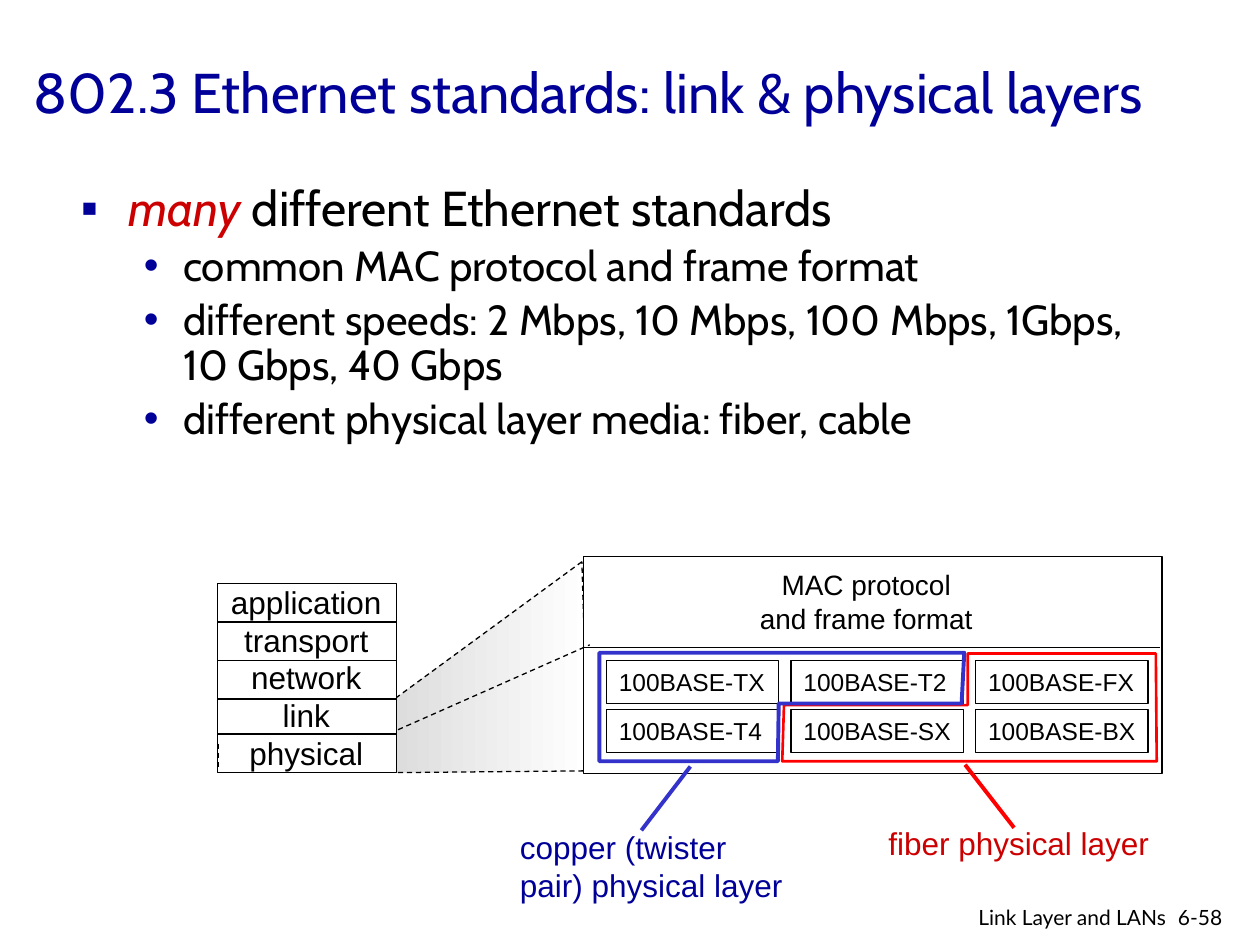
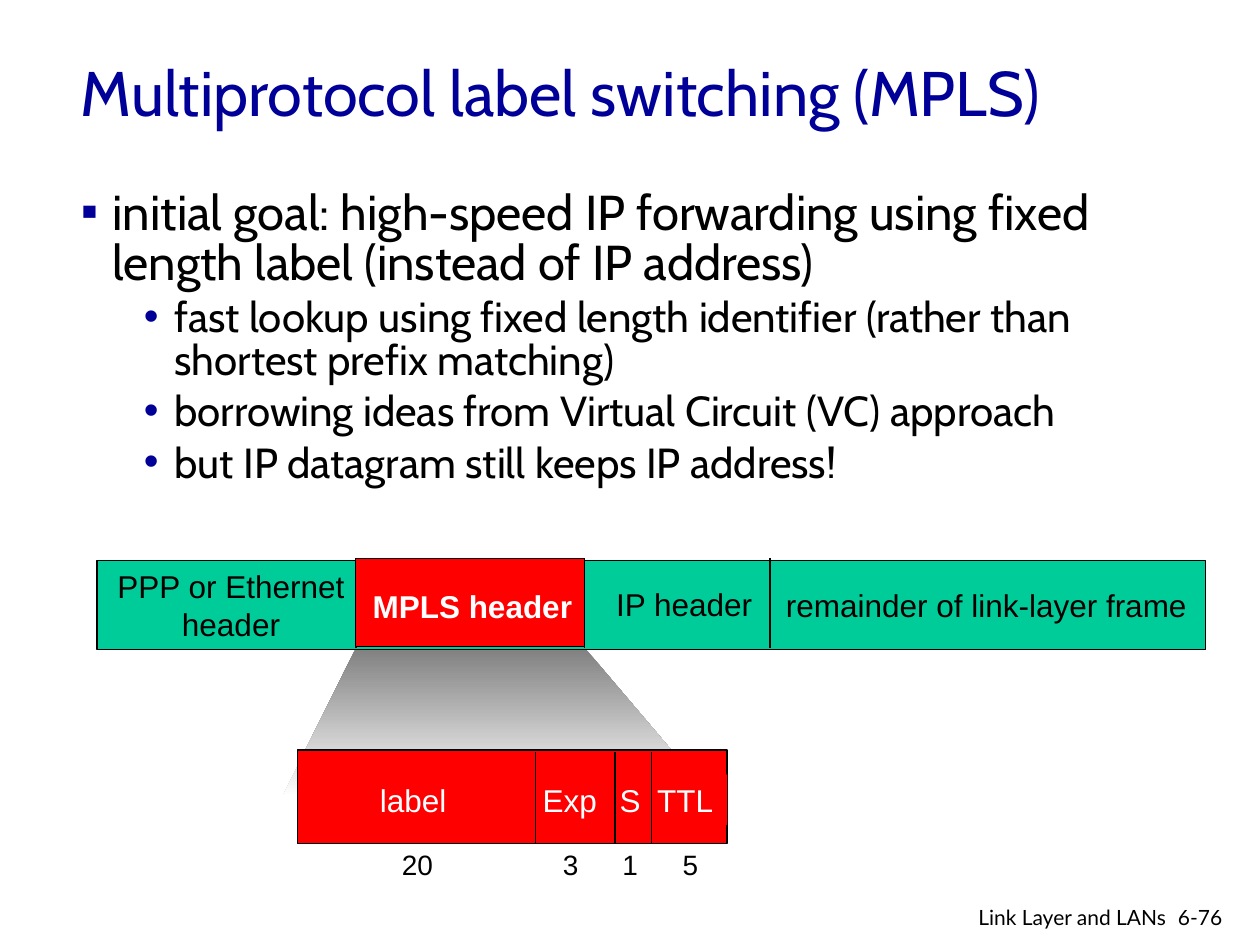
from lxml.etree import SubElement
from pptx import Presentation
from pptx.dml.color import RGBColor
from pptx.enum.dml import MSO_LINE
from pptx.enum.shapes import MSO_CONNECTOR as Connector, MSO_SHAPE as Preset
from pptx.enum.text import MSO_ANCHOR as Anchor, MSO_AUTO_SIZE as AutoSize, PP_ALIGN as Align
from pptx.oxml.ns import qn
from pptx.util import Pt

COLORS = {
    "navy": "000099", "black": "000000", "white": "FFFFFF", "crimson": "CC0000",
    "red": "FF0000", "blue": "3333CC", "green": "00CC99",
    "light_gray": "DDDDDD", "mid_gray": "808080",
}
HEADING = "Cabin"
DIAGRAM = "Arial"
FOOTER = "Lato"
BULLETS = ("▪", "•")
BULLET_SIZES = (28, 24)
FIXED_FRAME = {"word_wrap": True, "auto_size": AutoSize.NONE}
LABEL_FRAME = {"word_wrap": False, "auto_size": AutoSize.NONE}


def rgb(color):
    return RGBColor.from_string(COLORS[color])


def assign(target, formats):
    for name, value in formats.items():
        setattr(target, name, value)


def add_run(paragraph, words, size, color="black", face=DIAGRAM, **extra):
    run = paragraph.add_run()
    run.text = words
    assign(run.font, {"size": Pt(size), "name": face, **extra})
    run.font.color.rgb = rgb(color)


def write_lines(frame, lines, size, align=Align.LEFT, **font):
    for index, words in enumerate(lines):
        paragraph = frame.add_paragraph() if index else frame.paragraphs[0]
        paragraph.alignment = align
        add_run(paragraph, words, size, **font)


def place(shape, box):
    assign(shape, dict(zip(("left", "top", "width", "height"), map(Pt, box))))


def add_label(slide, box, lines, size=18, align=Align.LEFT, frame=LABEL_FRAME, **font):
    label = slide.shapes.add_textbox(*map(Pt, box))
    assign(label.text_frame, frame)
    write_lines(label.text_frame, lines, size, align, **font)


def paint(shape, fill=None, line=None, weight=0.75, dash=None):
    shape.shadow.inherit = False
    if fill:
        shape.fill.solid()
        shape.fill.fore_color.rgb = rgb(fill)
    else:
        shape.fill.background()
    if line:
        shape.line.color.rgb = rgb(line)
        assign(shape.line, {"width": Pt(weight), "dash_style": dash})
    else:
        shape.line.fill.background()


def add_panel(slide, box, fill=None, line="black", words=None, size=18, color="black"):
    panel = slide.shapes.add_shape(Preset.RECTANGLE, *map(Pt, box))
    paint(panel, fill, line)
    if words:
        assign(panel.text_frame, LABEL_FRAME)
        write_lines(panel.text_frame, [words], size, color=color)


def add_line(slide, start, end, color="black", weight=0.75, dash=None):
    line = slide.shapes.add_connector(Connector.STRAIGHT, *map(Pt, start + end))
    line.line.color.rgb = rgb(color)
    assign(line.line, {"width": Pt(weight), "dash_style": dash})
    SubElement(line._element.spPr, qn("a:effectLst"))


def add_outline(slide, corners, **look):
    start, *others = [(Pt(x), Pt(y)) for x, y in corners]
    builder = slide.shapes.build_freeform(*start, scale=1.0)
    builder.add_line_segments(others, close=True)
    outline = builder.convert_to_shape()
    paint(outline, **look)
    return outline


def add_shade(slide, corners, start_color, angle, **look):
    shade = add_outline(slide, corners, **look)
    shade.fill.gradient()
    shade.fill.gradient_angle = angle
    for stop, color, position in zip(shade.fill.gradient_stops, (start_color, "white"), (0, 1)):
        stop.color.rgb = rgb(color)
        stop.position = position


def add_bullet(paragraph, level, margin, hanging, spacing):
    assign(paragraph, {
        "level": level, "line_spacing": spacing, "alignment": Align.LEFT,
        "space_before": Pt(BULLET_SIZES[level] * 0.2),
    })
    props = paragraph._p.get_or_add_pPr()
    props.set("marL", str(Pt(margin)))
    props.set("indent", str(-Pt(hanging)))
    bullet_color = SubElement(props, qn("a:buClr"))
    SubElement(bullet_color, qn("a:srgbClr")).set("val", COLORS["navy"])
    SubElement(props, qn("a:buChar")).set("char", BULLETS[level])


def fill_body(body, box, items, indents, spacing):
    place(body, box)
    frame = body.text_frame
    assign(frame, {**FIXED_FRAME, "vertical_anchor": Anchor.TOP})
    for index, (level, runs) in enumerate(items):
        paragraph = frame.add_paragraph() if index else frame.paragraphs[0]
        add_bullet(paragraph, level, *indents[level], spacing)
        for words, look in runs:
            add_run(paragraph, words, BULLET_SIZES[level], face=HEADING, **look)


def start_slide(deck, heading, heading_box, heading_size, page):
    slide = deck.slides.add_slide(deck.slide_layouts[1])
    title = slide.shapes.title
    place(title, heading_box)
    assign(title.text_frame, {**FIXED_FRAME, "vertical_anchor": Anchor.MIDDLE})
    write_lines(title.text_frame, [heading], heading_size, color="navy", face=HEADING)
    add_label(slide, (666, 513.5, 43, 21.5), [page], 12, frame=FIXED_FRAME, face=FOOTER)
    add_label(slide, (502, 513.5, 171.5, 19), ["Link Layer and LANs"], 12,
              Align.RIGHT, FIXED_FRAME, face=FOOTER)
    return slide


def draw_layer_stack(slide):
    left, right = 124.5, 226.5
    add_panel(slide, (left, 333.5, right - left, 108), "white")
    add_label(slide, (left, 329.5, 101, 115),
              ["application", "transport", "network", "link", "physical"], align=Align.CENTER)
    for y in (355.5, 377.5, 399.5, 419.5):
        add_line(slide, (left, y), (right, y))
    for x in (left, right):
        add_line(slide, (x, 425), (x, 438.5), dash=MSO_LINE.DASH)


def draw_standards(slide):
    add_panel(slide, (333.5, 318, 330.5, 124), "white")
    add_line(slide, (334, 370), (663, 370))
    add_label(slide, (426.5, 321, 137, 46), ["MAC protocol", "and frame format"], 16, Align.CENTER)
    add_line(slide, (227.5, 417), (337, 368.5), dash=MSO_LINE.DASH)
    standards = (("TX", "T2", "FX"), ("T4", "SX", "BX"))
    for row, suffixes in enumerate(standards):
        for column, suffix in enumerate(suffixes):
            box = (346.5 + 105.5 * column, 377.5 + 28 * row, 98.5, 24.5)
            add_panel(slide, box, words="100BASE-" + suffix, size=14)


def draw_media(slide):
    fiber = [(553, 373.5), (553, 403), (448, 403), (447, 435), (661, 435), (660.5, 373.5)]
    add_outline(slide, fiber, line="red", weight=1.5)
    add_line(slide, (551.5, 437), (579.5, 473), "red", 2.25)
    add_label(slide, (500.5, 467.5, 165, 29), ["fiber physical layer"], color="crimson")
    copper = [(551, 373), (549.5, 402), (445, 402), (444.5, 435), (342.5, 435), (342.5, 373)]
    add_outline(slide, copper, line="blue", weight=2.25)
    add_line(slide, (394.5, 438), (366.5, 474.5), "blue", 2.25)
    add_label(slide, (290, 469.5, 166.5, 51), ["copper (twister", "pair) physical layer"], color="navy")


def build_ethernet(deck):
    slide = start_slide(deck, "802.3 Ethernet standards: link & physical layers",
                        (12, 7, 686, 90), 32, "6-58")
    items = [
        (0, [("many ", {"color": "crimson", "italic": True}), ("different Ethernet standards", {})]),
        (1, [("common MAC protocol and frame format", {})]),
        (1, [("different speeds: 2 Mbps, 10 Mbps, 100 Mbps, 1Gbps, 10 Gbps, 40 Gbps", {})]),
        (1, [("different physical layer media: fiber, cable", {})]),
    ]
    fill_body(slide.placeholders[1], (39, 101.5, 612, 165.5), items, ((27, 27), (58.5, 22.5)), 0.9)
    add_shade(slide, [(332.5, 321), (226, 399), (226.5, 441.5), (336, 440.5)],
              "light_gray", 0, line="black", dash=MSO_LINE.DASH)
    draw_layer_stack(slide)
    draw_standards(slide)
    draw_media(slide)


def draw_frame(slide):
    add_panel(slide, (55.5, 320.5, 633.5, 50.5), "green")
    add_label(slide, (57, 320.5, 150, 50.5), ["PPP or Ethernet", "header"], align=Align.CENTER)
    add_label(slide, (345, 330.5, 92, 29), ["IP header"], align=Align.CENTER)
    for x in (203.5, 334, 440):
        add_line(slide, (x, 319), (x, 370.5))
    add_label(slide, (442, 331.5, 243.5, 29), ["remainder of link-layer frame"])
    add_panel(slide, (203, 319, 131, 50.5), "red")
    add_label(slide, (206, 332, 128, 29), ["MPLS header"], align=Align.CENTER,
              color="white", bold=True)


def draw_mpls_fields(slide):
    add_panel(slide, (170, 428.5, 245.5, 53.5), "red")
    fields = (
        ("label", 210, 52.5, "20", 222.5, 32.5),
        ("Exp", 303, 45.5, "3", 314.5, 23),
        ("S", 347, 26.5, "1", 348.5, 23),
        ("TTL", 368.5, 47, "5", 383, 23),
    )
    for name, left, width, bits, bits_left, bits_width in fields:
        add_panel(slide, (left, 442.5, width, 29), "red", None, name, color="white")
        add_label(slide, (bits_left, 481, bits_width, 26.5), [bits], 16)
    for x in (306, 351.5, 372.5):
        add_line(slide, (x, 430), (x, 481.5))


def build_mpls(deck):
    slide = start_slide(deck, "Multiprotocol label switching (MPLS)",
                        (39, 15, 612, 74), 36, "6-76")
    goals = (
        "initial goal: high-speed IP forwarding using fixed length label (instead of IP address)",
        "fast lookup using fixed length identifier (rather than shortest prefix matching)",
        "borrowing ideas from Virtual Circuit (VC) approach",
        "but IP datagram still keeps IP address!",
    )
    items = [(min(index, 1), [(goal, {})]) for index, goal in enumerate(goals)]
    fill_body(slide.placeholders[1], (39, 105, 612, 366), items, ((18, 18), (53.5, 17.5)), 0.85)
    add_shade(slide, [(203.5, 370), (161.5, 455), (406, 455), (334, 370)], "mid_gray", 270)
    draw_frame(slide)
    draw_mpls_fields(slide)


def main():
    deck = Presentation()
    assign(deck, {"slide_width": Pt(720), "slide_height": Pt(540)})
    build_ethernet(deck)
    build_mpls(deck)
    deck.save("out.pptx")


main()
